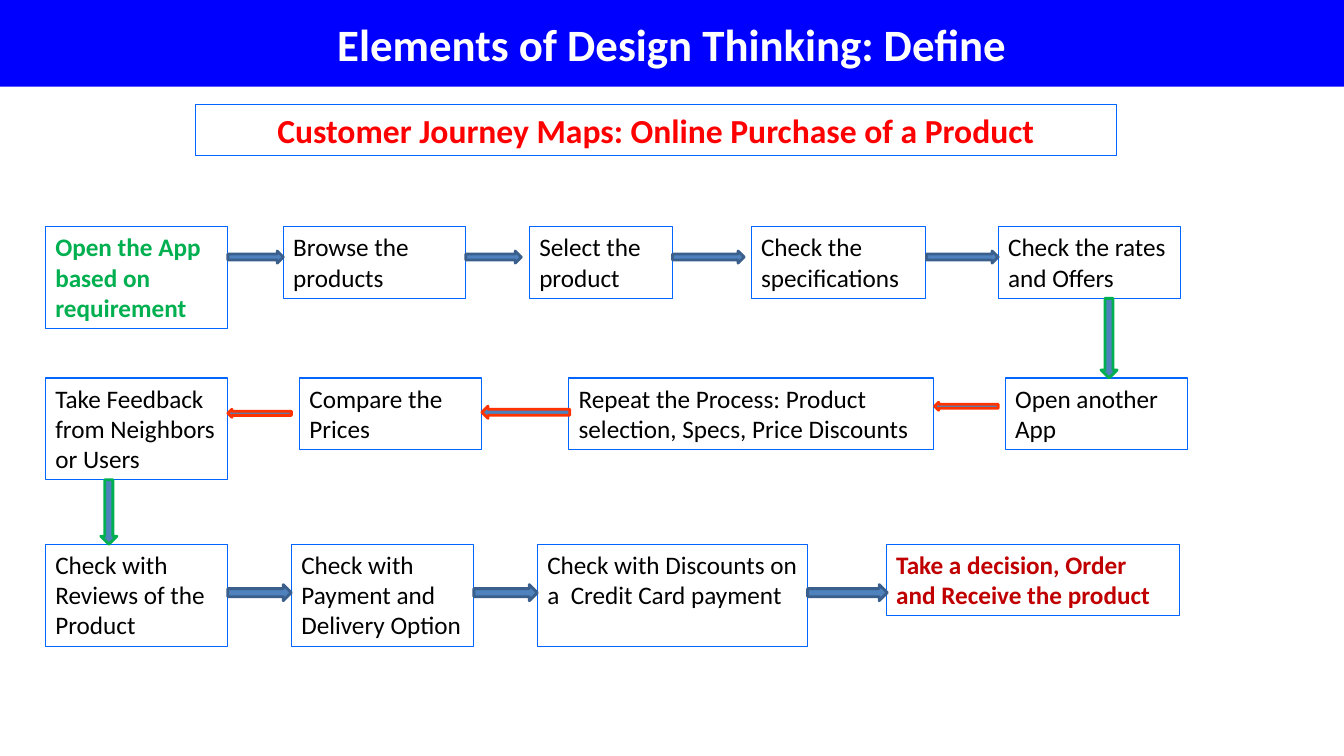
from dataclasses import dataclass

import pptx
import pptx.dml.color
import pptx.enum.shapes
import pptx.enum.text
import pptx.util

RGBColor = pptx.dml.color.RGBColor
WHITE = RGBColor(0xFF, 0xFF, 0xFF)
BLACK = RGBColor(0x00, 0x00, 0x00)
TITLE_BLUE = RGBColor(0x00, 0x00, 0xFF)
BOX_BLUE = RGBColor(0x00, 0x66, 0xFF)
RED = RGBColor(0xFF, 0x00, 0x00)
DARK_RED = RGBColor(0xC0, 0x00, 0x00)
GREEN = RGBColor(0x00, 0xB0, 0x50)
ARROW_FILL = RGBColor(0x4F, 0x81, 0xBD)
ARROW_EDGE = RGBColor(0x3A, 0x5F, 0x8C)
ORANGE = RGBColor(0xFF, 0x33, 0x00)

FONT = "Calibri"
EMU_PER_PX = 9144  # 100 px to the inch
SLIDE_WIDTH, SLIDE_HEIGHT = 1333, 750
ROW_TOPS = (225, 375, 540)
TWO_LINES, THREE_LINES = 71, 101

RIGHT_ARROW = pptx.enum.shapes.MSO_SHAPE.RIGHT_ARROW
DOWN_ARROW = pptx.enum.shapes.MSO_SHAPE.DOWN_ARROW
LEFT = pptx.enum.text.PP_ALIGN.LEFT
CENTER = pptx.enum.text.PP_ALIGN.CENTER


@dataclass(frozen=True)
class Step:
    """One box of the journey; row counts from the top."""
    text: str
    row: int
    left: int
    width: int = 181
    height: int = TWO_LINES
    color: RGBColor = BLACK
    bold: bool = False


@dataclass(frozen=True)
class Arrow:
    left: int
    top: int
    width: int
    height: int
    edge: RGBColor = ARROW_EDGE
    kind: pptx.enum.shapes.MSO_SHAPE = RIGHT_ARROW
    rotation: int = 0


STEPS = (
    Step("Open the App based on requirement", 0, 45, height=THREE_LINES, color=GREEN, bold=True),
    Step("Browse the products", 0, 281),
    Step("Select the product", 0, 525, width=142),
    Step("Check the specifications", 0, 745, width=173),
    Step("Check the rates and Offers", 0, 990),
    Step("Open another App", 1, 997),
    Step("Repeat the Process: Product selection, Specs, Price Discounts", 1, 564, width=362),
    Step("Compare the Prices", 1, 297),
    Step("Take Feedback from Neighbors or Users", 1, 45, height=THREE_LINES),
    Step("Check with Reviews of the Product", 2, 45, height=THREE_LINES),
    Step("Check with Payment and Delivery Option", 2, 289, height=THREE_LINES),
    Step("Check with Discounts on a  Credit Card payment", 2, 533, width=268, height=THREE_LINES),
    Step("Take a decision, Order and Receive the product", 2, 879, width=291, color=DARK_RED, bold=True),
)

ARROWS = (
    *(Arrow(left, 249, width, 12) for left, width in ((226, 55), (462, 55), (667, 71), (919, 71))),
    *(Arrow(left, top, width, height, ORANGE, rotation=180)
      for left, top, width, height in ((226, 406, 63, 8), (478, 403, 87, 12), (927, 399, 63, 8))),
    *(Arrow(left, 580, width, 16) for left, width in ((226, 63), (470, 63), (801, 79))),
    Arrow(1092, 296, 16, 79, GREEN, DOWN_ARROW),
    Arrow(100, 476, 16, 64, GREEN, DOWN_ARROW),
)


def px(length: int) -> pptx.util.Emu:
    return pptx.util.Emu(length * EMU_PER_PX)


def write(shape, text: str, size: int, color: RGBColor, bold: bool, alignment) -> None:
    shape.text_frame.word_wrap = True
    paragraph = shape.text_frame.paragraphs[0]
    paragraph.text = text
    paragraph.alignment = alignment
    font = paragraph.runs[0].font
    font.name = FONT
    font.size = pptx.util.Pt(size)
    font.bold = bold
    font.color.rgb = color


def add_title(slide, text: str) -> None:
    title = slide.shapes.title
    title.left, title.top, title.width, title.height = px(0), px(0), px(SLIDE_WIDTH), px(86)
    title.fill.solid()
    title.fill.fore_color.rgb = TITLE_BLUE
    title.text_frame.vertical_anchor = pptx.enum.text.MSO_ANCHOR.MIDDLE
    write(title, text, 32, WHITE, True, CENTER)


def add_box(slide, left: int, top: int, width: int, height: int):
    """Add an outlined text box."""
    box = slide.shapes.add_textbox(px(left), px(top), px(width), px(height))
    box.line.color.rgb = BOX_BLUE
    box.line.width = pptx.util.Pt(0.75)
    return box


def add_step(slide, step: Step) -> None:
    box = add_box(slide, step.left, ROW_TOPS[step.row], step.width, step.height)
    write(box, step.text, 18, step.color, step.bold, LEFT)


def add_arrow(slide, arrow: Arrow) -> None:
    shape = slide.shapes.add_shape(
        arrow.kind, px(arrow.left), px(arrow.top), px(arrow.width), px(arrow.height))
    shape.rotation = arrow.rotation
    shape.shadow.inherit = False
    shape.fill.solid()
    shape.fill.fore_color.rgb = ARROW_FILL
    shape.line.color.rgb = arrow.edge
    shape.line.width = pptx.util.Pt(2)


def main() -> None:
    presentation = pptx.Presentation()
    presentation.slide_width = px(SLIDE_WIDTH)
    presentation.slide_height = px(SLIDE_HEIGHT)
    slide = presentation.slides.add_slide(presentation.slide_layouts.get_by_name("Title Only"))
    add_title(slide, "Elements of Design Thinking: Define")
    subtitle = add_box(slide, 194, 104, 913, 50)
    write(subtitle, "Customer Journey Maps: Online Purchase of a Product", 24, RED, True, CENTER)
    for step in STEPS:
        add_step(slide, step)
    for arrow in ARROWS:
        add_arrow(slide, arrow)
    presentation.save("out.pptx")


if __name__ == "__main__":
    main()
